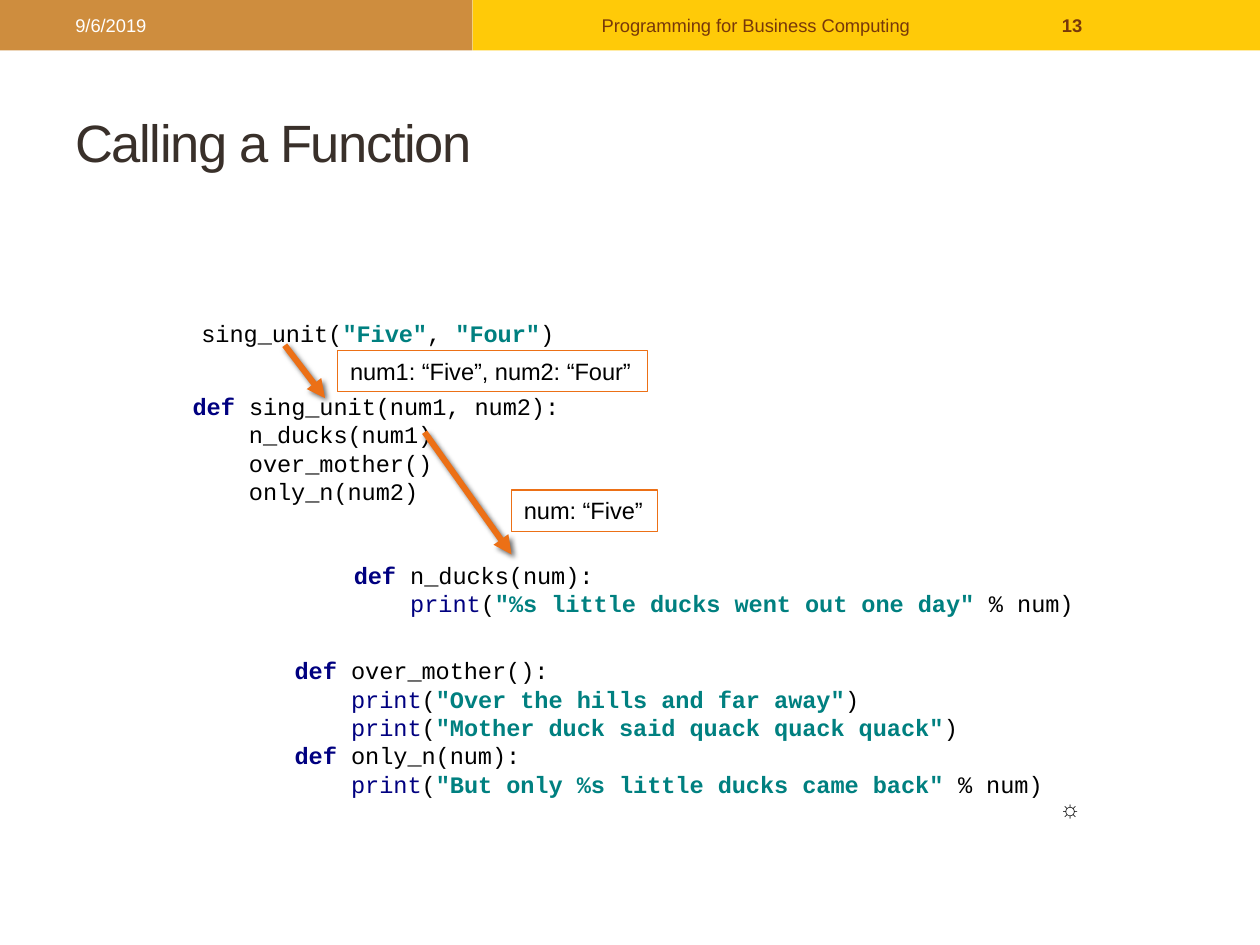
from lxml.etree import SubElement
from pptx import Presentation
from pptx.dml.color import RGBColor
from pptx.enum.shapes import MSO_CONNECTOR, MSO_SHAPE
from pptx.enum.text import MSO_ANCHOR, PP_ALIGN
from pptx.oxml import parse_xml
from pptx.oxml.ns import nsdecls, qn
from pptx.util import Inches, Pt

ORANGE, BROWN, BLACK = "EC7016", "77380A", "000000"
NAVY, TEAL = "000080", "008080"
CODE_SIZE = 13.5

# Content: boxes are (left, top, width, height) in inches
BANDS = [((0, 0, 3.75, 0.4), "CE8D3E"), ((3.75, 0, 6.25, 0.4), "FFCA08")]

HEADER = [
    ((0.5, 0.02, 3.17, 0.36), "9/6/2019", "FFFFFF", False, PP_ALIGN.LEFT),
    ((3.75, 0.02, 4.5, 0.36), "Programming for Business Computing", BROWN, False, PP_ALIGN.CENTER),
    ((8.33, 0.02, 1.17, 0.36), "13", BROWN, True, PP_ALIGN.LEFT),
]

TITLE = ((0.5, 0.58, 9, 1.08), "Calling a Function")

CODE_BLOCKS = [
    ((1.5, 2.48, 3.75, 0.56), ['sing_unit("Five", "Four")']),
    ((1.43, 3.06, 3.75, 1.01), [
        "def sing_unit(num1, num2):",
        "    n_ducks(num1)",
        "    over_mother()",
        "    only_n(num2)",
    ]),
    ((2.24, 5.16, 6.42, 1.46), [
        "def over_mother():",
        '    print("Over the hills and far away")',
        '    print("Mother duck said quack quack quack")',
        "def only_n(num):",
        '    print("But only %s little ducks came back" % num)',
    ]),
    ((2.71, 4.4, 5.94, 0.78), [
        "def n_ducks(num):",
        '    print("%s little ducks went out one day" % num)',
    ]),
]

CALL_ARROWS = [((2.26, 2.74), (2.58, 3.16)), ((3.37, 3.43), (4.06, 4.4))]

ARGUMENT_LABELS = [
    ((2.68, 2.78, 2.46, 0.33), "num1: “Five”, num2: “Four”"),
    ((4.06, 3.89, 1.16, 0.33), "num: “Five”"),
]

END_MARK = ((8.31, 6.25, 0.36, 0.33), "☼")

SHADOW = (
    f'<a:effectLst {nsdecls("a")}><a:outerShdw blurRad="38100" dist="25400" dir="2700000">'
    '<a:srgbClr val="000000"><a:alpha val="60000"/></a:srgbClr></a:outerShdw></a:effectLst>'
)


def color(hex_code):
    return RGBColor.from_string(hex_code)


def inches(values):
    return [Inches(value) for value in values]


def style(span, size, hex_code, bold=False, font="Arial"):
    span.font.name = font
    span.font.size = Pt(size)
    span.font.bold = bold
    span.font.color.rgb = color(hex_code)


def add_rectangle(page, box):
    shape = page.shapes.add_shape(MSO_SHAPE.RECTANGLE, *inches(box))
    shape.shadow.inherit = False
    return shape


def write(shape, text, size, hex_code, bold=False, font="Arial",
          align=PP_ALIGN.LEFT, anchor=MSO_ANCHOR.TOP, wrap=True):
    frame = shape.text_frame
    frame.text = text
    frame.word_wrap = wrap
    frame.vertical_anchor = anchor
    para = frame.paragraphs[0]
    para.alignment = align
    span = para.runs[0]
    style(span, size, hex_code, bold, font)
    return span


def highlight(line):
    """Yield (text, colour, bold) for each token of a line of Python."""
    for index, piece in enumerate(line.split('"')):
        if index % 2:
            yield f'"{piece}"', TEAL, True
            continue
        keyword = next((word for word in ("def ", "print") if word in piece), "")
        before, after = piece.split(keyword, 1) if keyword else (piece, "")
        yield before, BLACK, False
        yield keyword, NAVY, keyword == "def "
        yield after, BLACK, False


def add_code(page, box, lines):
    frame = page.shapes.add_textbox(*inches(box)).text_frame
    frame.word_wrap = True
    para = frame.paragraphs[0]
    for number, line in enumerate(lines):
        if number:
            para.add_line_break()
        for text, hex_code, bold in highlight(line):
            if text:
                span = para.add_run()
                span.text = text
                style(span, CODE_SIZE, hex_code, bold, "Courier New")


def add_arrow(page, start, end):
    arrow = page.shapes.add_connector(MSO_CONNECTOR.STRAIGHT, *inches(start + end))
    arrow.line.color.rgb = color(ORANGE)
    arrow.line.width = Pt(3.5)
    SubElement(arrow.line._get_or_add_ln(), qn("a:tailEnd"), type="triangle")
    arrow._element.spPr.append(parse_xml(SHADOW))


def main():
    deck = Presentation()
    deck.slide_width, deck.slide_height = Inches(10), Inches(7.5)
    page = deck.slides.add_slide(deck.slide_layouts[6])

    # Header bands and their text
    for box, hex_code in BANDS:
        band = add_rectangle(page, box)
        band.fill.solid()
        band.fill.fore_color.rgb = color(hex_code)
        band.line.fill.background()
    for box, text, hex_code, bold, align in HEADER:
        write(page.shapes.add_textbox(*inches(box)), text, 10.5, hex_code, bold,
              align=align, anchor=MSO_ANCHOR.MIDDLE)

    # Title, slightly tightened
    box, text = TITLE
    span = write(page.shapes.add_textbox(*inches(box)), text, 30, "39302A",
                 anchor=MSO_ANCHOR.MIDDLE)
    span.font._element.set("spc", "-80")

    # Code, call arrows and the arguments they pass
    for box, lines in CODE_BLOCKS:
        add_code(page, box, lines)
    for start, end in CALL_ARROWS:
        add_arrow(page, start, end)
    for box, text in ARGUMENT_LABELS:
        label = add_rectangle(page, box)
        label.fill.background()
        label.line.color.rgb = color(ORANGE)
        label.line.width = Pt(0.75)
        write(label, text, CODE_SIZE, BLACK, wrap=False)

    # End mark
    box, text = END_MARK
    write(page.shapes.add_textbox(*inches(box)), text, CODE_SIZE, BLACK, True,
          "Times New Roman", wrap=False)

    deck.save("out.pptx")


if __name__ == "__main__":
    main()
